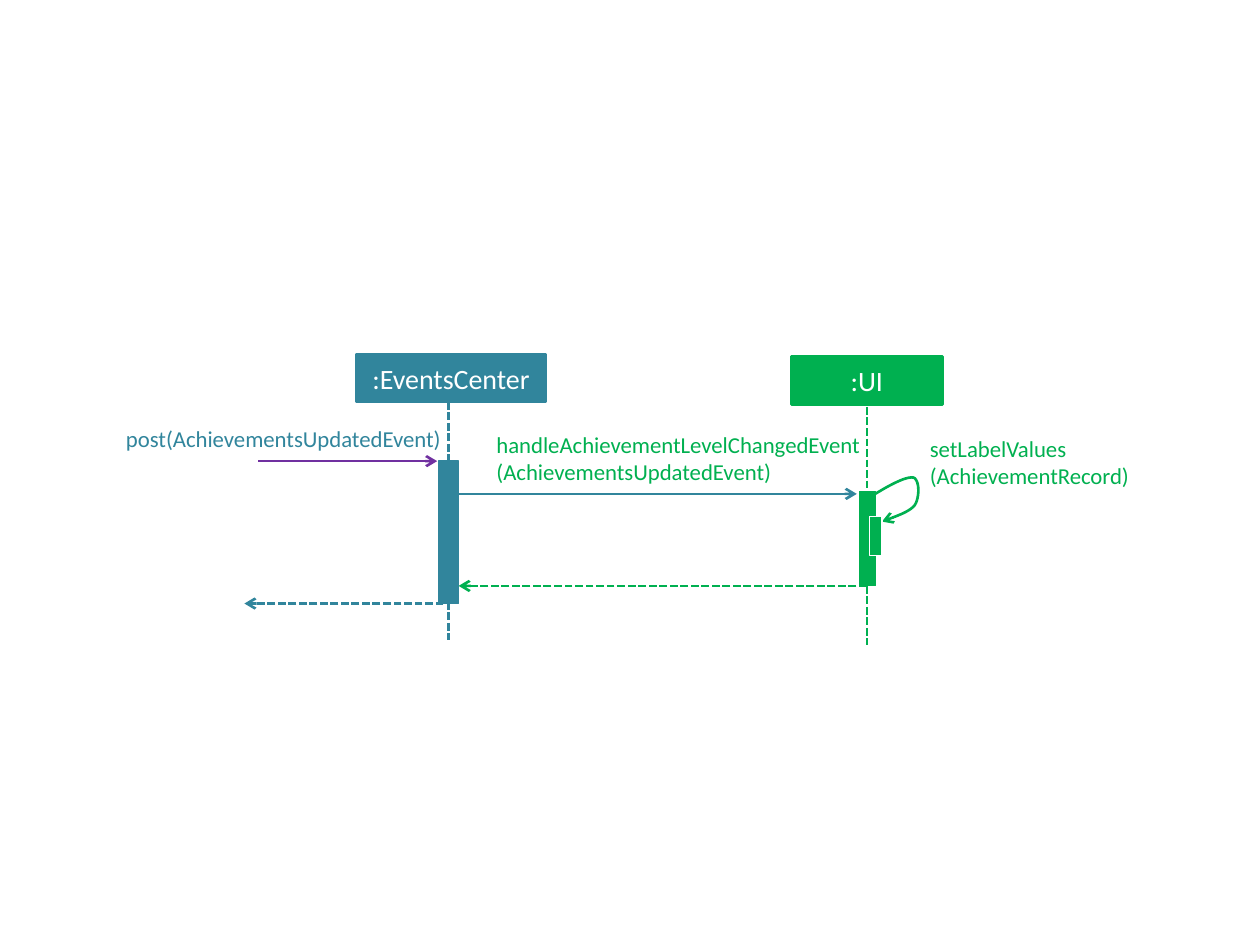
from lxml.etree import SubElement
from pptx import Presentation
from pptx.dml.color import RGBColor as Rgb
from pptx.enum.dml import MSO_LINE as Dash
from pptx.enum.shapes import MSO_CONNECTOR as Conn, MSO_SHAPE as Shape
from pptx.enum.text import MSO_ANCHOR as Anchor, MSO_AUTO_SIZE as Fit, PP_ALIGN as Align
from pptx.oxml.ns import qn
from pptx.util import Inches, Pt

COLORS = {"teal": "31859C", "green": "00B050", "purple": "7030A0", "white": "FFFFFF"}
FONT = "Calibri"


def rgb(name):
    return Rgb.from_string(COLORS[name])


def write(frame, text, size=13, color="white", align=Align.LEFT):
    """Fill a text frame, one paragraph for each line of text."""
    for i, line in enumerate(text.split("\n")):
        para = frame.add_paragraph() if i else frame.paragraphs[0]
        para.alignment = align
        run = para.add_run()
        run.text = line
        run.font.name, run.font.size = FONT, Pt(size)
        run.font.color.rgb = rgb(color)


def curve(start, *parts, steps=12):
    """Points along joined cubic Bezier parts, each given as (c1, c2, end)."""
    pts = [start]
    for c1, c2, end in parts:
        for i in range(1, steps + 1):
            t = i / steps
            u = 1 - t
            pts.append(tuple(
                u**3 * a + 3 * u * u * t * b + 3 * u * t * t * c + t**3 * d
                for a, b, c, d in zip(start, c1, c2, end)))
        start = end
    return pts


class Diagram:
    """Sequence diagram style and the slide it is drawn on."""

    def __init__(self, slide, width=1.5):
        self.shapes = slide.shapes
        self.width = width

    def stroke(self, item, color, width=None, dash=False, arrow=False):
        item.line.color.rgb = rgb(color)
        item.line.width = Pt(width or self.width)
        if dash:
            item.line.dash_style = Dash.SQUARE_DOT
        if arrow:
            SubElement(item.line._get_or_add_ln(), qn("a:tailEnd"), type="arrow")

    def box(self, x, y, w, h, color, edge=None, width=0.75):
        item = self.shapes.add_shape(
            Shape.RECTANGLE, Inches(x), Inches(y), Inches(w), Inches(h))
        item.shadow.inherit = False
        item.fill.solid()
        item.fill.fore_color.rgb = rgb(color)
        self.stroke(item, edge or color, width)
        return item

    def head(self, text, x, y, w, color):
        frame = self.box(x, y, w, 0.38, color, width=self.width).text_frame
        frame.vertical_anchor = Anchor.MIDDLE
        write(frame, text, size=16, align=Align.CENTER)

    def line(self, x1, y1, x2, y2, color, dash=False, arrow=True):
        item = self.shapes.add_connector(
            Conn.STRAIGHT, Inches(x1), Inches(y1), Inches(x2), Inches(y2))
        self.stroke(item, color, dash=dash, arrow=arrow)
        SubElement(item._element.spPr, qn("a:effectLst"))

    def life(self, x, y, color):
        self.line(x, y, x, y + 1.89, color, dash=True, arrow=False)

    def label(self, text, x, y, w, h, color):
        frame = self.shapes.add_textbox(
            Inches(x), Inches(y), Inches(w), Inches(h)).text_frame
        frame.word_wrap = True
        frame.auto_size = Fit.SHAPE_TO_FIT_TEXT
        frame.margin_left = frame.margin_right = 0
        frame.margin_top = frame.margin_bottom = 0
        write(frame, text, color=color)

    def loop(self, pts, color):
        """Draw an open path that ends in an arrow."""
        first, *rest = [(Inches(x), Inches(y)) for x, y in pts]
        path = self.shapes.build_freeform(*first)
        path.add_line_segments(rest, close=False)
        item = path.convert_to_shape()
        item.shadow.inherit = False
        item.fill.background()
        self.stroke(item, color, arrow=True)


def main():
    deck = Presentation()
    deck.slide_width, deck.slide_height = Inches(10), Inches(7.5)
    art = Diagram(deck.slides.add_slide(deck.slide_layouts[6]))

    art.label("post(AchievementsUpdatedEvent)", 1, 3.37, 3.26, 0.22, "teal")

    # UI lifeline and its messages
    art.head(":UI", 6.28, 2.83, 1.2, "green")
    art.life(6.88, 3.23, "green")
    art.box(6.82, 3.9, 0.13, 0.75, "green")
    art.line(6.88, 4.65, 3.64, 4.65, "green", dash=True)
    art.line(3.64, 3.92, 6.8, 3.92, "teal")
    art.label("handleAchievementLevelChangedEvent\n(AchievementsUpdatedEvent)",
              3.94, 3.42, 3.33, 0.44, "green")

    # UI call to itself
    art.loop(curve((6.93, 3.93),
                   ((7.06, 3.85), (7.19, 3.78), (7.25, 3.79)),
                   ((7.3, 3.81), (7.3, 3.95), (7.26, 4.01)),
                   ((7.21, 4.07), (7.1, 4.1), (7, 4.14))), "green")
    art.box(6.9, 4.1, 0.1, 0.31, "green", edge="white")
    art.label("setLabelValues\n(AchievementRecord)", 7.38, 3.45, 1.79, 0.44, "green")

    # EventsCenter lifeline and its messages
    art.head(":EventsCenter", 2.83, 2.81, 1.5, "teal")
    art.life(3.56, 3.19, "teal")
    art.box(3.48, 3.66, 0.16, 1.13, "teal")
    art.line(2.05, 3.66, 3.47, 3.66, "purple")
    art.line(3.52, 4.79, 1.94, 4.79, "teal", dash=True)

    deck.save("out.pptx")


if __name__ == "__main__":
    main()
